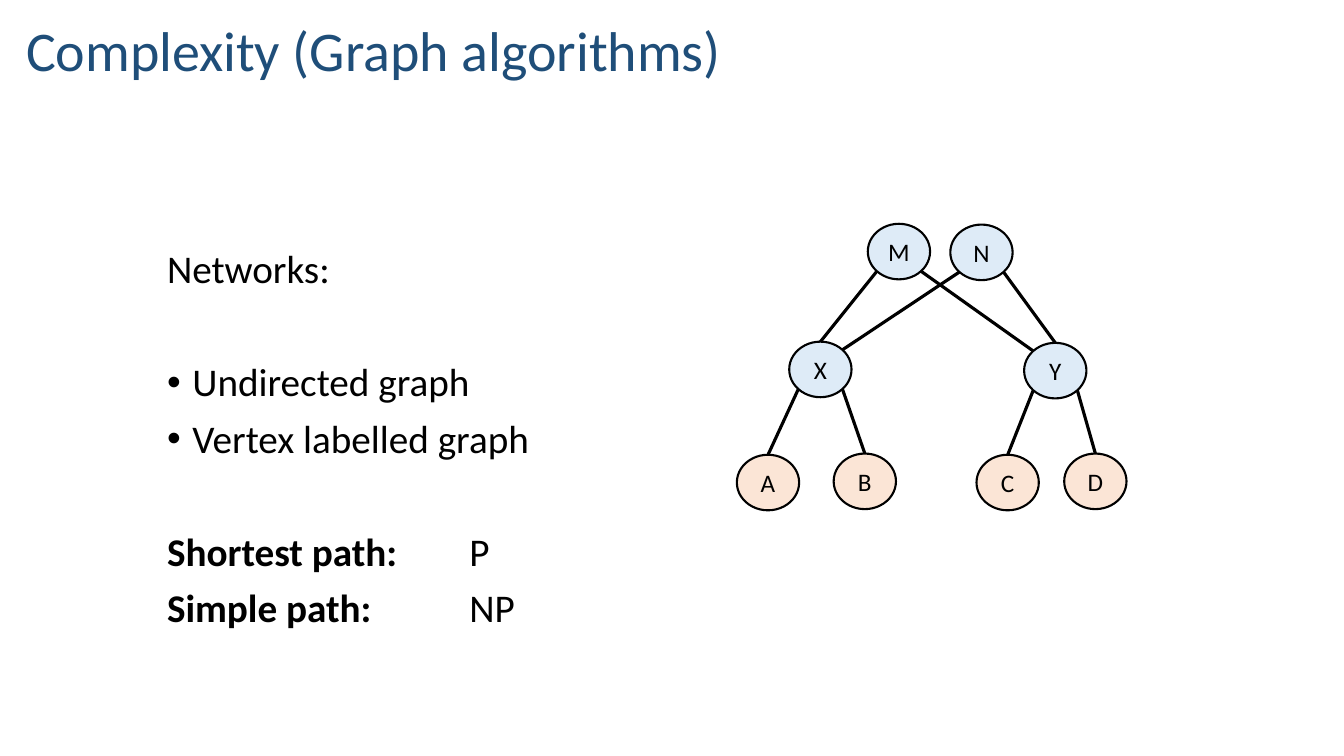
"""Build the slide on the complexity of graph algorithms."""
from math import sqrt

from lxml import etree
from pptx import Presentation
from pptx import util as u
from pptx.dml.color import RGBColor
from pptx.enum import shapes, text
from pptx.oxml.ns import qn

BLACK = RGBColor(0x00, 0x00, 0x00)
NAVY = RGBColor(0x1F, 0x4E, 0x79)
PALE_BLUE = RGBColor(0xDE, 0xEB, 0xF7)
PALE_ORANGE = RGBColor(0xFB, 0xE5, 0xD6)
FONT = "Calibri"

NODE_WIDTH, NODE_HEIGHT = u.Cm(1.57), u.Cm(1.4)
NODES = [
    ("M", 21.87, 5.64, PALE_BLUE),
    ("N", 23.95, 5.66, PALE_BLUE),
    ("X", 19.89, 8.61, PALE_BLUE),
    ("Y", 25.81, 8.64, PALE_BLUE),
    ("A", 18.57, 11.46, PALE_ORANGE),
    ("B", 21.01, 11.43, PALE_ORANGE),
    ("C", 24.61, 11.46, PALE_ORANGE),
    ("D", 26.82, 11.43, PALE_ORANGE),
]
LEFT, RIGHT, UP, DOWN = -1, 1, -1, 1
TOP_EDGES = [("X", "M", LEFT), ("Y", "N", RIGHT), ("A", "X", LEFT),
             ("B", "X", RIGHT), ("C", "Y", LEFT), ("D", "Y", RIGHT)]
CROSS_EDGES = [("N", LEFT, "X"), ("M", RIGHT, "Y")]

LINE_GAP, BLOCK_GAP = u.Pt(10), u.Pt(50.5)
HEADING = "Networks:"
BULLETS = ["Undirected graph", "Vertex labelled graph"]
RESULTS = [("Shortest path: ", "P"), ("Simple path: ", "NP")]


def add_run(paragraph, wording, size, color=BLACK, bold=False):
    """Append one formatted run to a paragraph."""
    run = paragraph.add_run()
    run.text = wording
    run.font.name = FONT
    run.font.size = u.Pt(size)
    run.font.bold = bold
    run.font.color.rgb = color


def add_text_frame(slide, left, top, width, height, anchor):
    """Add a wrapping text box and return its text frame."""
    box = slide.shapes.add_textbox(u.Cm(left), u.Cm(top), u.Cm(width), u.Cm(height))
    frame = box.text_frame
    frame.word_wrap = True
    frame.vertical_anchor = anchor
    return frame


def add_paragraph(frame, space_before):
    """Add a paragraph after the given space."""
    paragraph = frame.add_paragraph()
    paragraph.line_spacing = 0.9
    paragraph.space_before = space_before
    return paragraph


def set_bullet(paragraph):
    """Give a paragraph a hanging round bullet."""
    properties = paragraph._p.get_or_add_pPr()
    properties.set("marL", str(u.Cm(0.64)))
    properties.set("indent", str(-u.Cm(0.64)))
    etree.SubElement(properties, qn("a:buFont"), typeface="Arial")
    etree.SubElement(properties, qn("a:buChar"), char="•")


def set_tab(paragraph, position):
    """Give a paragraph a left tab stop."""
    tabs = etree.SubElement(paragraph._p.get_or_add_pPr(), qn("a:tabLst"))
    etree.SubElement(tabs, qn("a:tab"), pos=str(position), algn="l")


def add_title(slide):
    """Add the slide title."""
    frame = add_text_frame(slide, 0.41, -0.13, 20.14, 2.36, text.MSO_ANCHOR.BOTTOM)
    paragraph = frame.paragraphs[0]
    paragraph.line_spacing = 0.9
    add_run(paragraph, "Complexity (Graph algorithms)", 40, NAVY)


def add_body(slide):
    """Add the heading, the bullets and the complexity results."""
    frame = add_text_frame(slide, 3.96, 6.17, 14.63, 12.85, text.MSO_ANCHOR.TOP)
    heading = frame.paragraphs[0]
    heading.line_spacing = 0.9
    add_run(heading, HEADING, 28)
    for index, wording in enumerate(BULLETS):
        paragraph = add_paragraph(frame, LINE_GAP if index else BLOCK_GAP)
        set_bullet(paragraph)
        add_run(paragraph, wording, 28)
    for index, (problem, complexity) in enumerate(RESULTS):
        paragraph = add_paragraph(frame, LINE_GAP if index else BLOCK_GAP)
        set_tab(paragraph, u.Cm(7.62))
        add_run(paragraph, problem, 28, bold=True)
        add_run(paragraph, "\t" + complexity, 28)


def add_node(slide, label, left, top, color):
    """Add one labelled vertex."""
    node = slide.shapes.add_shape(shapes.MSO_SHAPE.OVAL, u.Cm(left), u.Cm(top),
                                  NODE_WIDTH, NODE_HEIGHT)
    node.shadow.inherit = False
    node.fill.solid()
    node.fill.fore_color.rgb = color
    node.line.color.rgb = BLACK
    node.line.width = u.Pt(1.5)
    frame = node.text_frame
    frame.margin_left = frame.margin_right = frame.margin_top = frame.margin_bottom = 0
    frame.word_wrap = False
    frame.vertical_anchor = text.MSO_ANCHOR.MIDDLE
    paragraph = frame.paragraphs[0]
    paragraph.alignment = text.PP_ALIGN.CENTER
    add_run(paragraph, label, 18)
    return node


def diagonal_point(node, across, down):
    """Return the point of a vertex's outline in a diagonal direction."""
    return (round(node.left + node.width / 2 * (1 + across / sqrt(2))),
            round(node.top + node.height / 2 * (1 + down / sqrt(2))))


def add_edge(slide, start, end):
    """Add one straight edge between two points."""
    edge = slide.shapes.add_connector(shapes.MSO_CONNECTOR.STRAIGHT, *start, *end)
    edge.line.color.rgb = BLACK
    edge.line.width = u.Pt(2.25)
    etree.SubElement(edge._element.spPr, qn("a:effectLst"))
    return edge


def add_graph(slide):
    """Add the vertices and edges of the graph."""
    nodes = {label: add_node(slide, label, *rest) for label, *rest in NODES}
    for child, parent, side in TOP_EDGES:
        node = nodes[child]
        top_point = (node.left + node.width // 2, node.top)
        edge = add_edge(slide, top_point, diagonal_point(nodes[parent], side, DOWN))
        edge.begin_connect(node, 0)
    for parent, side, child in CROSS_EDGES:
        add_edge(slide, diagonal_point(nodes[parent], side, DOWN),
                 diagonal_point(nodes[child], -side, UP))


def main():
    """Build and save the presentation."""
    presentation = Presentation()
    presentation.slide_width = u.Cm(33.87)
    presentation.slide_height = u.Cm(19.05)
    slide = presentation.slides.add_slide(presentation.slide_layouts[6])
    add_title(slide)
    add_body(slide)
    add_graph(slide)
    presentation.save("out.pptx")


if __name__ == "__main__":
    main()
